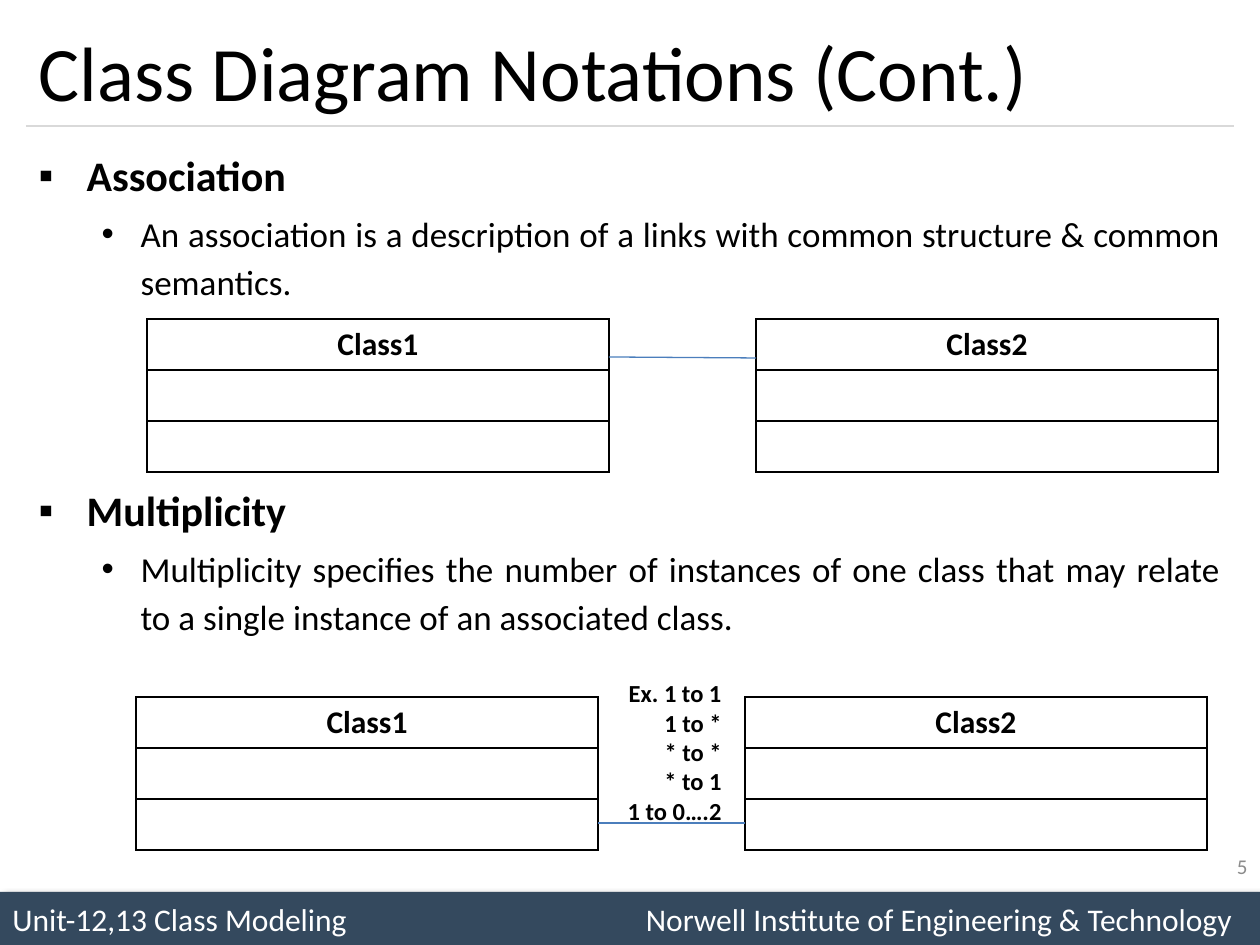
"""Builds the class diagram slide on association and multiplicity."""
from dataclasses import dataclass

from lxml.etree import SubElement
from pptx import Presentation
from pptx.dml.color import RGBColor
from pptx.enum.shapes import MSO_CONNECTOR as Link, MSO_SHAPE as Preset
from pptx.enum.text import MSO_ANCHOR as Anchor, MSO_AUTO_SIZE as AutoSize, PP_ALIGN as Align
from pptx.oxml.ns import qn
from pptx.util import Emu, Pt


@dataclass(frozen=True)
class Theme:
    font: str = "Calibri"
    ink: str = "000000"
    bar: str = "34495E"
    bar_text: str = "FFFFFF"
    rule: str = "D9D9D9"
    link: str = "4B7EBC"
    number: str = "8C8C8C"
    title_size: int = 44
    heading_size: int = 24
    detail_size: int = 20
    label_size: int = 18
    example_size: int = 14
    number_size: int = 12


@dataclass(frozen=True)
class Bullet:
    text: str
    level: int
    before: float


@dataclass(frozen=True)
class BulletStyle:
    mark: str
    size: int
    bold: bool
    margin: int
    hang: int


@dataclass(frozen=True)
class ClassPair:
    left: int
    top: int
    link_start: int
    link_end: int


THEME = Theme()
WIDTH, HEIGHT = 1260, 945
TABLE_WIDTH, ROW_HEIGHT, TABLE_PITCH = 462, 51, 609
STYLES = (
    BulletStyle("▪", THEME.heading_size, True, 48, 48),
    BulletStyle("•", THEME.detail_size, False, 102, 39),
)
BULLETS = (
    Bullet("Association", 0, 4.8),
    Bullet("An association is a description of a links with common structure & common semantics.", 1, 4),
    Bullet("Multiplicity", 0, 100),
    Bullet("Multiplicity specifies the number of instances of one class that may relate "
           "to a single instance of an associated class.", 1, 4),
)
PAIRS = (ClassPair(147, 319, 357, 358), ClassPair(136, 697, 823, 823))
EXAMPLES = ("Ex. 1 to 1", "1 to *", "* to *", "* to 1", "1 to 0….2")


def px(length: int) -> Emu:
    """Turn px into EMU."""
    return Emu(round(length * 914400 / 126))


def colour(value: str) -> RGBColor:
    """Turn a hex string into a colour."""
    return RGBColor.from_string(value)


def place(shape, left: int, top: int, width: int, height: int) -> None:
    """Move and size a shape."""
    shape.left, shape.top, shape.width, shape.height = map(px, (left, top, width, height))


def write(para, text: str, size: int, align=Align.LEFT, ink: str = THEME.ink, bold: bool = False) -> None:
    """Fill and format one paragraph."""
    para.text = text
    para.alignment = align
    font = para.font
    font.name, font.size, font.bold = THEME.font, Pt(size), bold
    font.color.rgb = colour(ink)


def add_text(page, lines: tuple, frame: tuple, size: int, ink: str, bold: bool, anchor) -> None:
    """Add a right-aligned text box with one paragraph per line."""
    box = page.shapes.add_textbox(*map(px, frame))
    box.text_frame.word_wrap = True
    box.text_frame.vertical_anchor = anchor
    for index, line in enumerate(lines):
        para = box.text_frame.add_paragraph() if index else box.text_frame.paragraphs[0]
        write(para, line, size, Align.RIGHT, ink, bold)


def add_line(page, start: tuple, end: tuple, ink: str) -> None:
    """Add a thin straight line without shadow."""
    line = page.shapes.add_connector(Link.STRAIGHT, *map(px, start + end))
    line.line.color.rgb = colour(ink)
    line.line.width = Pt(0.75)
    SubElement(line._element.spPr, qn("a:effectLst"))


def add_footer(page) -> None:
    """Add the footer bar with its left and right captions."""
    bar = page.shapes.add_shape(Preset.RECTANGLE, *map(px, (0, 892, WIDTH, 53)))
    bar.fill.solid()
    bar.fill.fore_color.rgb = colour(THEME.bar)
    bar.line.fill.background()
    bar.shadow.inherit = False
    effects = bar._element.spPr.find(qn("a:effectLst"))
    shadow = SubElement(effects, qn("a:outerShdw"), blurRad=str(Pt(4)), dist=str(Pt(3)), dir="2700000")
    shade = SubElement(shadow, qn("a:srgbClr"), val=THEME.ink)
    SubElement(shade, qn("a:alpha"), val="40000")
    bar.text_frame.vertical_anchor = Anchor.MIDDLE
    para = bar.text_frame.paragraphs[0]
    write(para, "Unit-12,13 Class Modeling\tNorwell Institute of Engineering & Technology",
          THEME.label_size, ink=THEME.bar_text)
    tabs = para._p.get_or_add_pPr()
    stops = SubElement(tabs, qn("a:tabLst"))
    SubElement(stops, qn("a:tab"), pos=str(px(1220)), algn="r")
    tabs.insert(0, stops)


def fill_title(title) -> None:
    """Place and write the title."""
    place(title, 26, 15, 1207, 111)
    title.text_frame.vertical_anchor = Anchor.MIDDLE
    title.text_frame.auto_size = AutoSize.NONE
    write(title.text_frame.paragraphs[0], "Class Diagram Notations (Cont.)", THEME.title_size)


def fill_body(body) -> None:
    """Place the body and write its bullets."""
    place(body, 26, 136, 1207, 735)
    body.text_frame.auto_size = AutoSize.NONE
    for index, bullet in enumerate(BULLETS):
        style = STYLES[bullet.level]
        para = body.text_frame.add_paragraph() if index else body.text_frame.paragraphs[0]
        write(para, bullet.text, style.size, Align.JUSTIFY, bold=style.bold)
        para.level = bullet.level
        para.line_spacing = 1.14
        para.space_before = Pt(bullet.before)
        props = para._p.get_or_add_pPr()
        props.set("marL", str(px(style.margin)))
        props.set("indent", str(-px(style.hang)))
        marks = (SubElement(props, qn("a:buFont"), typeface="Arial"),
                 SubElement(props, qn("a:buChar"), char=style.mark))
        for mark in marks:
            props.find(qn("a:defRPr")).addprevious(mark)


def add_class(page, name: str, left: int, top: int) -> None:
    """Add a three-row class table with its name in the first row."""
    frame = (left, top, TABLE_WIDTH, 3 * ROW_HEIGHT)
    table = page.shapes.add_table(3, 1, *map(px, frame)).table
    table.first_row = table.horz_banding = False
    for cell in table.iter_cells():
        props = cell._tc.get_or_add_tcPr()
        for side in ("lnL", "lnR", "lnT", "lnB"):
            border = SubElement(props, qn(f"a:{side}"), w=str(Pt(1)))
            paint = SubElement(border, qn("a:solidFill"))
            SubElement(paint, qn("a:srgbClr"), val=THEME.ink)
        cell.fill.background()
    write(table.cell(0, 0).text_frame.paragraphs[0], name, THEME.label_size, Align.CENTER, bold=True)


def add_pair(page, pair: ClassPair) -> None:
    """Add two classes joined by a line."""
    for index, name in enumerate(("Class1", "Class2")):
        add_class(page, name, pair.left + index * TABLE_PITCH, pair.top)
    add_line(page, (pair.left + TABLE_WIDTH, pair.link_start),
             (pair.left + TABLE_PITCH, pair.link_end), THEME.link)


def main() -> None:
    """Build and save the deck."""
    deck = Presentation()
    deck.slide_width, deck.slide_height = px(WIDTH), px(HEIGHT)
    page = deck.slides.add_slide(deck.slide_layouts[1])
    add_footer(page)
    add_line(page, (26, 126), (1234, 126), THEME.rule)
    fill_title(page.shapes.title)
    fill_body(page.placeholders[1])
    add_text(page, ("5",), (966, 841, 294, 50), THEME.number_size, THEME.number, False, Anchor.MIDDLE)
    for pair in PAIRS:
        add_pair(page, pair)
    add_text(page, EXAMPLES, (598, 672, 136, 161), THEME.example_size, THEME.ink, True, Anchor.TOP)
    deck.save("out.pptx")


if __name__ == "__main__":
    main()
